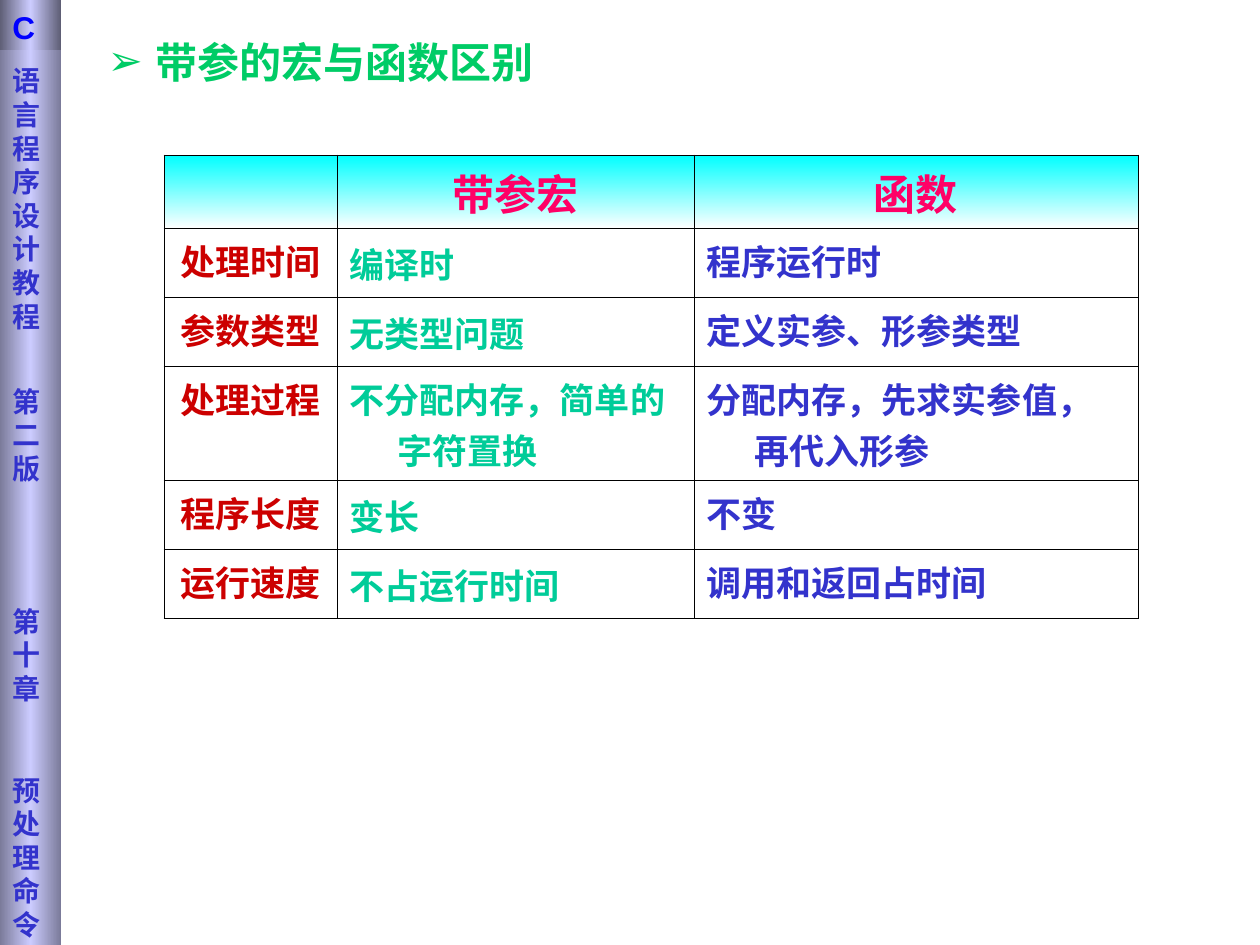
from dataclasses import dataclass

from lxml.etree import SubElement
from pptx import Presentation
from pptx.dml.color import RGBColor
from pptx.enum.shapes import MSO_SHAPE
from pptx.enum.text import MSO_ANCHOR as ANCHOR, MSO_AUTO_SIZE, PP_ALIGN as ALIGN
from pptx.oxml.ns import qn
from pptx.util import Pt

TITLE = "带参的宏与函数区别"
ROWS = [
    ("", "带参宏", "函数"),
    ("处理时间", "编译时", "程序运行时"),
    ("参数类型", "无类型问题", "定义实参、形参类型"),
    ("处理过程", "不分配内存，简单的字符置换", "分配内存，先求实参值，再代入形参"),
    ("程序长度", "变长", "不变"),
    ("运行速度", "不占运行时间", "调用和返回占时间"),
]
# Sidebar text and the space before each part, in points
SIDEBAR = [("语言程序设计教程", 0), ("第二版", 29.4), ("第十章", 68.2), ("预处理命令", 39)]
SIDEBAR_HEAD = "C"

COL_WIDTHS = (173, 357, 444)
ROW_HEIGHTS = (63, 69, 69, 97, 69, 69)
SIDEBAR_W = 61
SLIDE_W, SLIDE_H = 1260, 945
INDENT = 48


@dataclass(frozen=True)
class Theme:
    title: str = "00CC66"
    header: str = "FF0066"
    columns: tuple = ("CC0000", "00CC99", "3333CC")
    header_fill: tuple = ("00FFFF", "FFFFFF")
    border: str = "000000"
    side_text: str = "3333CC"
    side_fill: tuple = ("7B7B9A", "CCCCFF", "7B7B9A")
    head_text: str = "0000FF"
    head_fill: tuple = ("5E5E75", "CCCCFF", "5E5E75")
    serif: str = "Times New Roman"
    sans: str = "DejaVu Sans"
    head_font: str = "Arial"
    cjk: str = "Noto Sans CJK SC"
    large: int = 24
    body: int = 20
    head_size: int = 18
    side_size: int = 16
    side_pitch: float = 19.2
    border_width: float = 0.45


T = Theme()


def px(n):
    return n * 7257


def style(p, size, color, font):
    for r in p.runs:
        f = r.font
        f.size, f.bold, f.name = Pt(size), True, font
        f.color.rgb = RGBColor.from_string(color)
        SubElement(r._r.get_or_add_rPr(), qn("a:ea"), typeface=T.cjk)


def hang(p):
    pPr = p._p.get_or_add_pPr()
    pPr.set("marL", str(px(INDENT)))
    pPr.set("indent", str(-px(INDENT)))
    return pPr


def set_gradient(fill, props, colors, angle):
    """Fill with evenly spaced colour stops; props is the element holding the fill."""
    fill.gradient()
    fill.gradient_angle = angle
    stops = props.find(qn("a:gradFill")).find(qn("a:gsLst"))
    for gs in list(stops):
        stops.remove(gs)
    for i, color in enumerate(colors):
        gs = SubElement(stops, qn("a:gs"), pos=str(100000 * i // (len(colors) - 1)))
        SubElement(gs, qn("a:srgbClr"), val=color)


def set_borders(cell):
    tcPr = cell._tc.get_or_add_tcPr()
    for side in ("lnL", "lnR", "lnT", "lnB"):
        ln = SubElement(tcPr, qn("a:" + side), w=str(Pt(T.border_width)))
        SubElement(SubElement(ln, qn("a:solidFill")), qn("a:srgbClr"), val=T.border)


def add_title(slide):
    s = slide.shapes.title
    s.left, s.top, s.width, s.height = px(95), px(35), px(525), px(69)
    tf = s.text_frame
    tf.text = TITLE
    tf.word_wrap, tf.auto_size = True, MSO_AUTO_SIZE.NONE
    tf.vertical_anchor, tf.margin_top = ANCHOR.TOP, px(1)
    p = tf.paragraphs[0]
    p.alignment = ALIGN.LEFT
    pPr = hang(p)
    SubElement(SubElement(pPr, qn("a:buClr")), qn("a:srgbClr"), val=T.title)
    SubElement(pPr, qn("a:buFont"), typeface=T.sans)
    SubElement(pPr, qn("a:buChar"), char="➢")
    style(p, T.large, T.title, T.serif)


def add_comparison(slide):
    table = slide.shapes.add_table(len(ROWS), len(COL_WIDTHS), px(164), px(155),
                                   px(sum(COL_WIDTHS)), px(sum(ROW_HEIGHTS))).table
    table.first_row = table.horz_banding = False
    for col, w in zip(table.columns, COL_WIDTHS):
        col.width = px(w)
    for row, h in zip(table.rows, ROW_HEIGHTS):
        row.height = px(h)
    for i, texts in enumerate(ROWS):
        header = i == 0
        for j, text in enumerate(texts):
            cell = table.cell(i, j)
            set_borders(cell)
            if header:
                set_gradient(cell.fill, cell._tc.tcPr, T.header_fill, 270)
            else:
                cell.fill.background()
            cell.text = text
            cell.vertical_anchor = ANCHOR.MIDDLE if j == 1 and not header else ANCHOR.TOP
            p = cell.text_frame.paragraphs[0]
            p.alignment = ALIGN.CENTER if header or j == 0 else ALIGN.LEFT
            hang(p)
            style(p, T.large if header else T.body,
                  T.header if header else T.columns[j], T.serif)


def add_panel(group, height, colors, top_margin):
    sp = group.shapes.add_shape(MSO_SHAPE.RECTANGLE, 0, 0, px(SIDEBAR_W), px(height))
    sp.shadow.inherit = False
    sp.line.fill.background()
    set_gradient(sp.fill, sp._element.spPr, colors, 180)
    tf = sp.text_frame
    tf.word_wrap, tf.vertical_anchor, tf.margin_top = True, ANCHOR.TOP, px(top_margin)
    return tf


def add_sidebar(slide):
    group = slide.shapes.add_group_shape()
    tf = add_panel(group, SLIDE_H, T.side_fill, 64)
    tf.text = "\n".join(text for text, _ in SIDEBAR)
    for p, (_, gap) in zip(tf.paragraphs, SIDEBAR):
        p.alignment = ALIGN.LEFT
        p.line_spacing = Pt(T.side_pitch)
        if gap:
            p.space_before = Pt(gap)
        style(p, T.side_size, T.side_text, T.sans)

    tf = add_panel(group, 50, T.head_fill, 8)
    tf.text = SIDEBAR_HEAD
    p = tf.paragraphs[0]
    p.alignment = ALIGN.LEFT
    style(p, T.head_size, T.head_text, T.head_font)


def main():
    prs = Presentation()
    prs.slide_width, prs.slide_height = px(SLIDE_W), px(SLIDE_H)
    slide = prs.slides.add_slide(prs.slide_layouts[5])
    add_title(slide)
    add_comparison(slide)
    add_sidebar(slide)
    prs.save("out.pptx")


if __name__ == "__main__":
    main()
